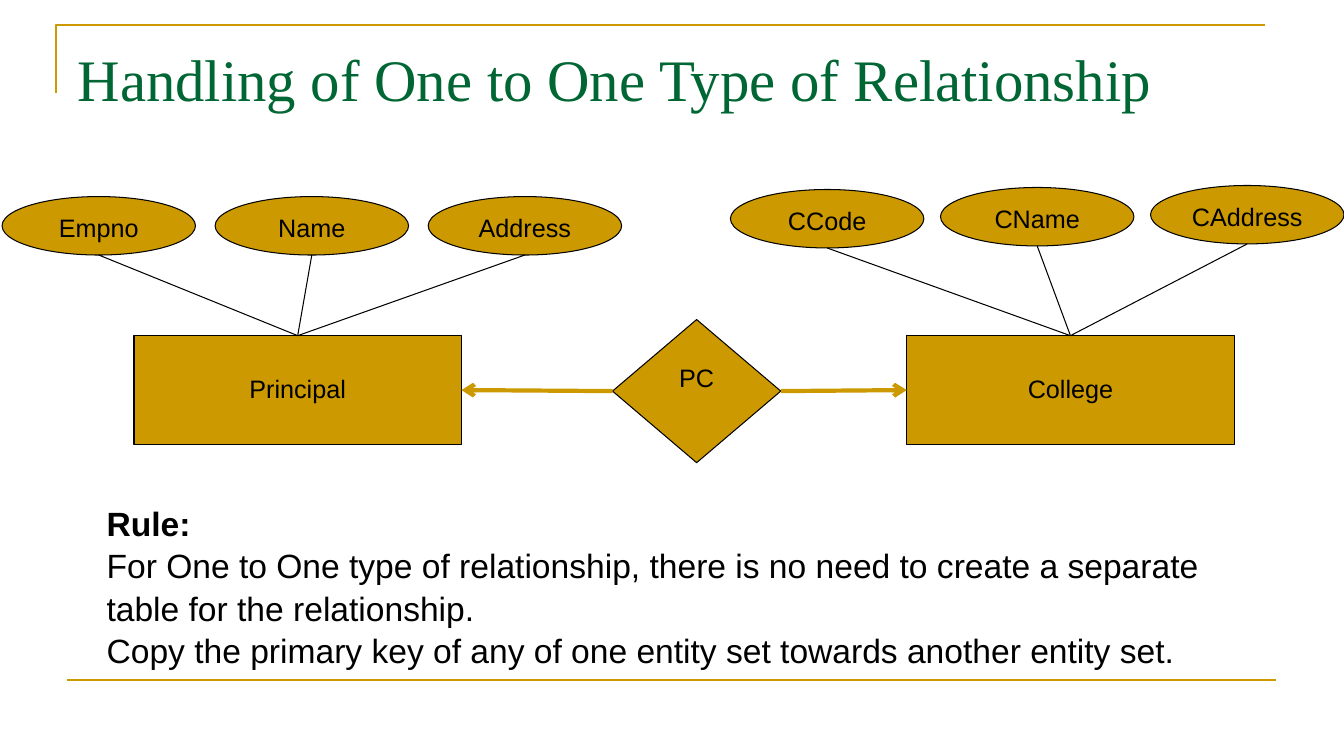
import dataclasses

import pptx
import pptx.dml.color
import pptx.enum.shapes
import pptx.enum.text
import pptx.oxml
import pptx.oxml.ns
import pptx.util

Inches = pptx.util.Inches
Pt = pptx.util.Pt
SHAPES = pptx.enum.shapes.MSO_SHAPE
ALIGN = pptx.enum.text.PP_ALIGN


@dataclasses.dataclass(frozen=True)
class Theme:
    gold: str = "CC9900"
    green: str = "006633"
    black: str = "000000"
    heading_font: str = "Times New Roman"
    body_font: str = "Arial"
    title_size: int = 42
    rule_size: int = 24
    label_size: int = 18
    thin: float = 0.75
    frame: float = 1.5
    thick: float = 3


THEME = Theme()


def color(value):
    return pptx.dml.color.RGBColor.from_string(value)


def add_span(para, text, size, ink=THEME.black, font=THEME.body_font, bold=False):
    span = para.add_run()
    span.text = text
    span.font.size = Pt(size)
    span.font.name = font
    span.font.bold = bold
    span.font.color.rgb = color(ink)


def set_frame(frame, inset_top, wrap):
    frame.word_wrap = wrap
    frame.auto_size = pptx.enum.text.MSO_AUTO_SIZE.NONE
    frame.vertical_anchor = pptx.enum.text.MSO_ANCHOR.TOP
    frame.margin_left = frame.margin_right = Inches(0.1)
    frame.margin_top, frame.margin_bottom = Inches(inset_top), Inches(0.05)


def add_node(page, kind, box, label, inset_top=0.07):
    node = page.shapes.add_shape(kind, *map(Inches, box))
    node.shadow.inherit = False
    node.fill.solid()
    node.fill.fore_color.rgb = color(THEME.gold)
    node.line.color.rgb = color(THEME.black)
    node.line.width = Pt(THEME.thin)
    set_frame(node.text_frame, inset_top, False)
    para = node.text_frame.paragraphs[0]
    para.alignment = ALIGN.CENTER
    add_span(para, label, THEME.label_size)
    return node


def add_line(page, start, end, ink, width):
    line = page.shapes.add_connector(
        pptx.enum.shapes.MSO_CONNECTOR.STRAIGHT, *map(Inches, start + end))
    line.line.color.rgb = color(ink)
    line.line.width = Pt(width)
    properties = line._element.spPr
    properties.append(pptx.oxml.parse_xml(
        "<a:effectLst %s/>" % pptx.oxml.ns.nsdecls("a")))
    return line


def add_frame_lines(page, box):
    """Corner bracket at the top and rule at the bottom."""
    left, top, width, height = box
    builder = page.shapes.build_freeform(Inches(left), Inches(top + 0.67))
    builder.add_line_segments(
        [(Inches(left), Inches(top)), (Inches(left + width), Inches(top))], close=False)
    bracket = builder.convert_to_shape()
    bracket.shadow.inherit = False
    bracket.fill.background()
    bracket.line.color.rgb = color(THEME.gold)
    bracket.line.width = Pt(THEME.frame)
    bottom = top + height
    add_line(page, (left + 0.11, bottom), (left + 0.11 + width, bottom),
             THEME.gold, THEME.frame)


def add_title(page, box, text):
    title = page.shapes.title
    title.left, title.top, title.width, title.height = map(Inches, box)
    set_frame(title.text_frame, 0.12, True)
    para = title.text_frame.paragraphs[0]
    para.alignment = ALIGN.LEFT
    add_span(para, text, THEME.title_size, THEME.green, THEME.heading_font)


def add_entity(page, box, label, attributes, first, step):
    """Entity rectangle with a row of attribute ellipses above it."""
    entity = add_node(page, SHAPES.RECTANGLE, box, label, inset_top=0.37)
    width, height = 1.92, 0.58
    for index, attribute in enumerate(attributes):
        left, top = (start + index * gap for start, gap in zip(first, step))
        add_node(page, SHAPES.OVAL, (left, top, width, height), attribute)
        link = add_line(page, (box[0] + box[2] / 2, box[1]),
                        (left + width / 2, top + height), THEME.black, THEME.thin)
        link.begin_connect(entity, 0)
    return entity


def add_relationship(page, box, label, left_entity, right_entity):
    """Diamond with an arrow to each of its entities."""
    diamond = add_node(page, SHAPES.FLOWCHART_DECISION, box, label)
    middle = (box[0] + box[2] / 2, box[1] + box[3] / 2)
    for entity, diamond_side, entity_side in ((left_entity, 1, 3), (right_entity, 3, 1)):
        arrow = add_line(page, middle, middle, THEME.gold, THEME.thick)
        arrow.begin_connect(diamond, diamond_side)
        arrow.end_connect(entity, entity_side)
        arrow.line._get_or_add_ln().append(pptx.oxml.parse_xml(
            '<a:tailEnd %s type="arrow"/>' % pptx.oxml.ns.nsdecls("a")))


def add_rule(page, box, heading, sentences):
    frame = page.shapes.add_textbox(*map(Inches, box)).text_frame
    set_frame(frame, 0.06, True)
    for index, text in enumerate([heading] + sentences):
        para = frame.add_paragraph() if index else frame.paragraphs[0]
        para.line_spacing = 1.05
        add_span(para, text, THEME.rule_size, bold=index == 0)


def build_slide(deck):
    page = deck.slides.add_slide(deck.slide_layouts[5])
    add_frame_lines(page, (0.56, 0.25, 12, 6.5))
    add_title(page, (0.67, 0.3, 12, 1.25), "Handling of One to One Type of Relationship")

    # Entity-relationship diagram
    principal = add_entity(page, (1.33, 3.33, 3.25, 1.08), "Principal",
                           ["Empno", "Name", "Address"], (0.02, 1.95), (2.115, 0))
    college = add_entity(page, (9, 3.33, 3.25, 1.08), "College",
                         ["CCode", "CName", "CAddress"], (7.25, 1.88), (2.085, -0.02))
    add_relationship(page, (6.08, 3.17, 1.67, 1.42), "PC", principal, college)

    # Rule text
    add_rule(page, (0.96, 4.91, 11.42, 2.1), "Rule:", [
        "For One to One type of relationship, there is no need to create a separate "
        "table for the relationship.",
        "Copy the primary key of any of one entity set towards another entity set.",
    ])


def main():
    deck = pptx.Presentation()
    deck.slide_width, deck.slide_height = Inches(13.34), Inches(7.5)
    build_slide(deck)
    deck.save("out.pptx")


if __name__ == "__main__":
    main()
